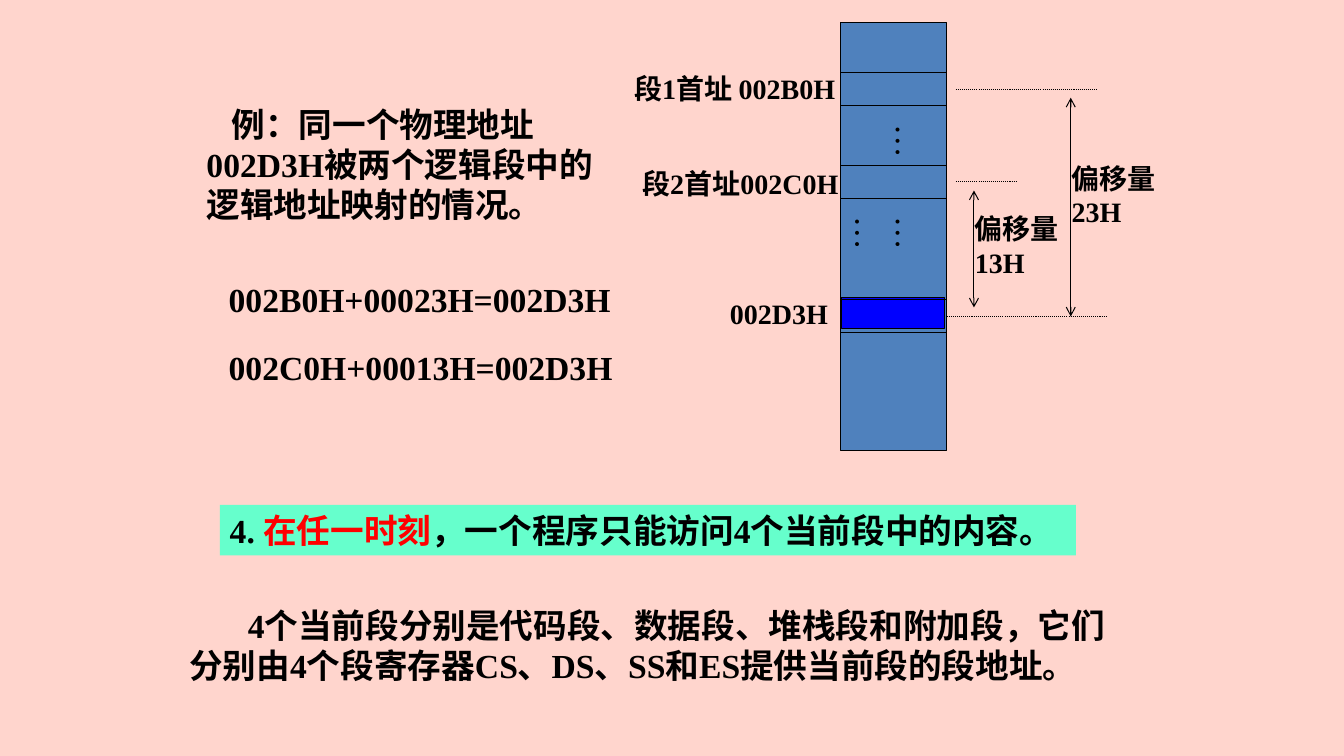
from lxml import etree
from pptx import Presentation
from pptx.dml.color import RGBColor
from pptx.enum.dml import MSO_LINE
from pptx.enum.shapes import MSO_CONNECTOR, MSO_SHAPE
from pptx.oxml.ns import qn
from pptx.util import Pt

PX = 9144  # 100 px to the inch
DOTTED = MSO_LINE.ROUND_DOT
STRAIGHT = MSO_CONNECTOR.STRAIGHT
RECT = MSO_SHAPE.RECTANGLE
rgb = RGBColor.from_string

prs = Presentation()
prs.slide_width, prs.slide_height = 1333 * PX, 750 * PX
s = prs.slides.add_slide(prs.slide_layouts[6])
s.background.fill.solid()
s.background.fill.fore_color.rgb = rgb("FFD5CD")


def add_text(x, y, w, h, runs, size=24, bold=True, indent=0):
    box = s.shapes.add_textbox(x * PX, y * PX, w * PX, h * PX)
    tf = box.text_frame
    tf.word_wrap = True
    p = tf.paragraphs[0]
    if indent:
        p._p.get_or_add_pPr().set("indent", str(indent * PX))
    for text, color in runs:
        r = p.add_run()
        r.text = text
        r.font.name = "Times New Roman"
        r.font.size = Pt(size)
        r.font.bold = bold
        r.font.color.rgb = rgb(color)
    return box


def add_line(x1, y1, x2, y2, dash=None, arrows=False):
    line = s.shapes.add_connector(STRAIGHT, x1 * PX, y1 * PX, x2 * PX, y2 * PX)
    line.line.color.rgb = rgb("000000")
    line.line.width = Pt(0.75)
    if dash:
        line.line.dash_style = dash
    if arrows:
        ln = line.line._get_or_add_ln()
        for end in ("a:headEnd", "a:tailEnd"):
            etree.SubElement(ln, qn(end)).set("type", "arrow")
    etree.SubElement(line._element.spPr, qn("a:effectLst"))


# Statement and explanation
box = add_text(218, 501, 849, 50, [
    ("4. ", "000000"),
    ("在任一时刻", "FF0000"),
    ("，一个程序只能访问4个当前段中的内容。", "000000"),
])
box.text_frame.word_wrap = False
box.fill.solid()
box.fill.fore_color.rgb = rgb("66FFCC")
add_text(178, 595, 957, 91, [(
    "4个当前段分别是代码段、数据段、堆栈段和附加段，它们"
    "分别由4个段寄存器CS、DS、SS和ES提供当前段的段地址。", "000000")], indent=58)

# Example and its sums
add_text(195, 98, 417, 131, [(
    "例：同一个物理地址002D3H被两个逻辑段中的逻辑地址映射的情况。",
    "000000")], indent=25)
for y, equation in ((272, "002B0H+00023H=002D3H"), (339, "002C0H+00013H=002D3H")):
    add_text(217, y, 433, 50, [(equation, "000000")])

# Memory column, its cell borders and the shared cell
for x, y, w, h, fill in ((834, 22, 105, 425, "4F81BD"), (835, 295, 102, 31, "0000FF")):
    sp = s.shapes.add_shape(RECT, x * PX, y * PX, w * PX, h * PX)
    sp.shadow.inherit = False
    sp.fill.solid()
    sp.fill.fore_color.rgb = rgb(fill)
    sp.line.color.rgb = rgb("000000")
    sp.line.width = Pt(0.75)
for y in (72, 105, 164, 197, 297, 330):
    add_line(834, y, 939, y)

# Address and offset labels
for x, y, w, h, label in (
    (619, 66, 220, 43, "段1首址 002B0H"),
    (627, 160, 222, 43, "段2首址002C0H"),
    (714, 289, 120, 43, "002D3H"),
    (957, 205, 114, 77, "偏移量13H"),
    (1053, 155, 114, 77, "偏移量23H"),
):
    add_text(x, y, w, h, [(label, "000000")], size=20)

# Vertical dots for skipped cells
for y, h, dots in ((114, 50, "…"), (205, 75, "……")):
    box = add_text(867, y, 60, h, [(dots, "000000")], bold=False)
    box.text_frame._txBody.bodyPr.set("vert", "eaVert")

# Dotted guides and offset arrows
for x1, x2, y in ((948, 1088, 89), (948, 1009, 180), (939, 1097, 314)):
    add_line(x1, y, x2, y, dash=DOTTED)
for x, y1, y2 in ((966, 189, 305), (1062, 97, 314)):
    add_line(x, y1, x, y2, arrows=True)

prs.save("out.pptx")
